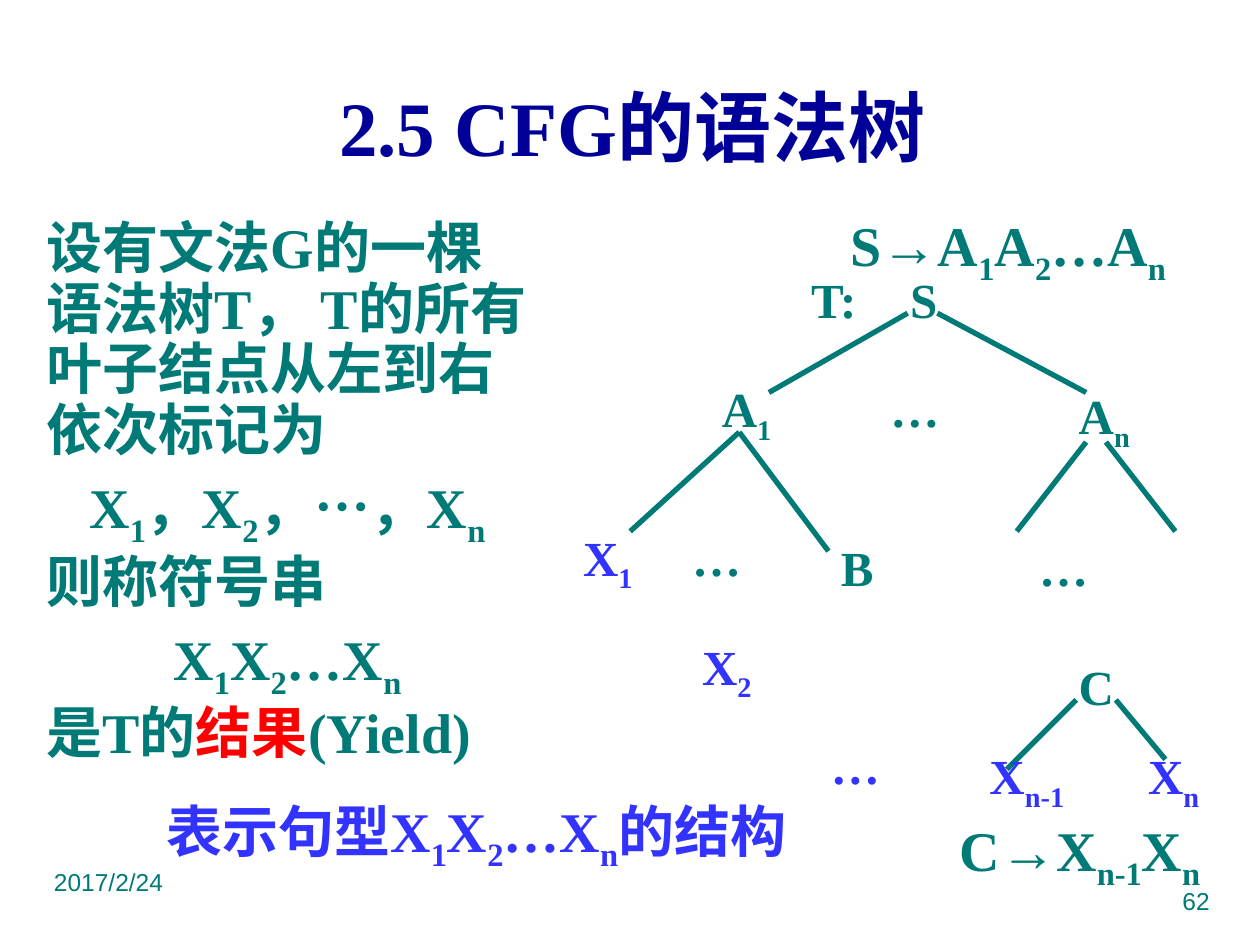
from collections import namedtuple

from lxml.etree import SubElement
from pptx import Presentation
from pptx.dml.color import RGBColor
from pptx.enum.shapes import MSO_CONNECTOR
from pptx.enum.text import MSO_ANCHOR, PP_ALIGN
from pptx.oxml.ns import qn
from pptx.util import Inches, Pt

TEAL = RGBColor(0x00, 0x7A, 0x77)
NAVY = RGBColor(0x00, 0x00, 0x99)
BLUE = RGBColor(0x33, 0x33, 0xFF)
RED = RGBColor(0xFF, 0x00, 0x00)
SERIF, SANS = "Times New Roman", "Arial"
LEFT, CENTER, RIGHT = PP_ALIGN.LEFT, PP_ALIGN.CENTER, PP_ALIGN.RIGHT

Box = namedtuple("Box", "left top width height")

TREE_COLUMNS, TREE_ROWS = 67, 69
NODE_HEIGHT = 7.25
TREE_NODES = [
    ("S", 33, 6, 8, TEAL),
    ("T:", 23, 6, 8, TEAL),
    ("A|1", 14, 17, 8, TEAL),
    ("…", 31, 17, 8, TEAL),
    ("A|n", 50, 17.7, 10, TEAL),
    ("X|1", 0, 32, 9, BLUE),
    ("…", 11, 32, 8, TEAL),
    ("B", 26, 33, 8, TEAL),
    ("…", 46, 33, 8, TEAL),
    ("X|2", 12, 43, 8, BLUE),
    ("…", 25, 53, 8, BLUE),
    ("C", 50, 45, 8, TEAL),
    ("X|n-1", 41, 54, 11, BLUE),
    ("X|n", 57, 54, 8, BLUE),
]
TREE_RULES = [
    ("S→A|1|A|2|…A|n", 27, 0, 40),
    ("C→X|n-1|X|n", 38, 61, 29),
]
TREE_BRANCHES = [
    (34, 11, 20, 19),
    (37, 11, 52, 19),
    (17, 23, 6, 33),
    (17, 23, 26, 35),
    (52, 24, 45, 33),
    (54, 24, 61, 33),
    (51, 50, 44, 57),
    (55, 50, 60, 56),
]
BODY_LINES = [
    ("设有文法G的一棵语法树T， T的所有叶子结点从左到右依次标记为", LEFT),
    ("X|1|，X|2|，…，X|n", CENTER),
    ("则称符号串", LEFT),
    ("X|1|X|2|…X|n", CENTER),
    ("是T的*结果*(Yield)", LEFT),
]


def write(para, text, size=28, color=TEAL, font=SERIF, bold=True, align=LEFT):
    """Fill a paragraph; bars enclose subscripts and stars enclose red words."""
    para.alignment = align
    for star, phrase in enumerate(text.split("*")):
        for bar, piece in enumerate(phrase.split("|")):
            if not piece:
                continue
            span = para.add_run()
            span.text = piece
            span.font.size = Pt(size)
            span.font.name = font
            span.font.bold = bold
            span.font.color.rgb = RED if star % 2 else color
            if bar % 2:
                span.font._element.set("baseline", "-25000")


def add_frame(page, box, anchor=MSO_ANCHOR.TOP):
    """Add a wrapping text box and return its text frame."""
    frame = page.shapes.add_textbox(*map(Inches, box)).text_frame
    frame.word_wrap = True
    frame.vertical_anchor = anchor
    return frame


def add_label(page, box, text, anchor=MSO_ANCHOR.TOP, **style):
    """Add a text box that holds one paragraph."""
    write(add_frame(page, box, anchor).paragraphs[0], text, **style)


def add_branch(page, start, end):
    """Draw one tree branch between two points."""
    branch = page.shapes.add_connector(
        MSO_CONNECTOR.STRAIGHT, *map(Inches, (*start, *end)))
    branch.line.color.rgb = TEAL
    branch.line.width = Pt(3)
    SubElement(branch._element.spPr, qn("a:effectLst"))


def add_body(page, box):
    """Write the definition of the yield of a tree."""
    frame = add_frame(page, box)
    for index, (text, align) in enumerate(BODY_LINES):
        para = frame.add_paragraph() if index else frame.paragraphs[0]
        para.line_spacing = 0.9
        if index:
            para.space_before = Pt(6.4)
        write(para, text, size=32, align=align)


def add_tree(page, box):
    """Draw the syntax tree and its two productions on a grid in the box."""
    column, row = box.width / TREE_COLUMNS, box.height / TREE_ROWS

    def point(x, y):
        """Turn grid columns and rows into a place on the slide."""
        return box.left + x * column, box.top + y * row

    for x, y, end_x, end_y in TREE_BRANCHES:
        add_branch(page, point(x, y), point(end_x, end_y))
    for text, x, y, width, color in TREE_NODES:
        place = Box(*point(x, y), width * column, NODE_HEIGHT * row)
        add_label(page, place, text, color=color)
    for text, x, y, width in TREE_RULES:
        place = Box(*point(x, y), width * column, 8 * row)
        add_label(page, place, text, size=32)


def add_footer(page, box):
    """Write the date at the left and the page number at the right."""
    small = {"size": 14, "font": SANS, "bold": False}
    add_label(page, Box(box.left, box.top, 2.5, 0.52), "2017/2/24", **small)
    number = Box(box.left + box.width - 2.5, box.top + 0.15, 2.5, 0.52)
    add_label(page, number, "62", align=RIGHT, **small)


def main():
    """Build the slide and save it."""
    deck = Presentation()
    deck.slide_width, deck.slide_height = Inches(10), Inches(7.5)
    page = deck.slides.add_slide(deck.slide_layouts[6])
    add_footer(page, Box(0.33, 6.83, 9.37, 0.67))
    add_label(page, Box(0.35, 0.52, 9.34, 0.96), "2.5 CFG的语法树",
              anchor=MSO_ANCHOR.MIDDLE, size=44, color=NAVY, align=CENTER)
    add_body(page, Box(0.27, 1.7, 4.02, 4.41))
    add_tree(page, Box(4.53, 1.62, 5.27, 5.43))
    add_label(page, Box(0.75, 6.27, 6.06, 0.63), "表示句型X|1|X|2|…X|n|的结构",
              size=32, color=BLUE, align=CENTER)
    deck.save("out.pptx")


if __name__ == "__main__":
    main()
